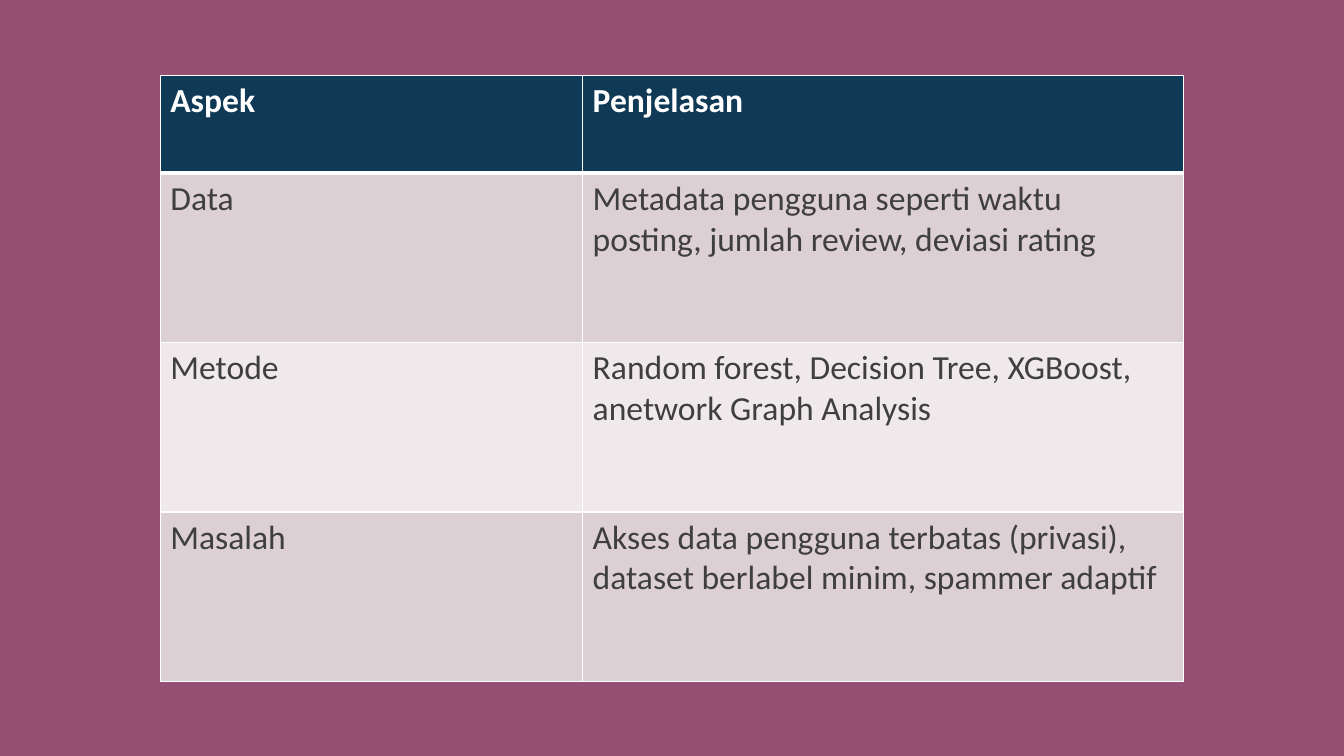
import pptx
import pptx.dml.color
import pptx.oxml
import pptx.oxml.ns
import pptx.util
from pptx.util import Pt

HEADER_FILL = "0F3955"
BAND_FILLS = ("DDD0D5", "EFE9EB")
COLUMN_WIDTHS = (301.7, 429.1)
ROW_HEIGHTS = (69.8, 121, 121, 121)
ROWS = (
    ("Aspek", "Penjelasan"),
    ("Data", "Metadata pengguna seperti waktu posting, jumlah review, deviasi rating"),
    ("Metode", "Random forest, Decision Tree, XGBoost, anetwork Graph Analysis"),
    ("Masalah", "Akses data pengguna terbatas (privasi), dataset berlabel minim, spammer adaptif"),
)


def rgb(hex_code):
    return pptx.dml.color.RGBColor.from_string(hex_code)


def paint(fill, hex_code):
    fill.solid()
    fill.fore_color.rgb = rgb(hex_code)


def write(frame, text, *, size=24, color="3F3F3F", bold=False, font="Calibri"):
    frame.word_wrap = True
    paragraph = frame.paragraphs[0]
    paragraph.text = text
    style = paragraph.runs[0].font
    style.name, style.size, style.bold = font, Pt(size), bold
    style.color.rgb = rgb(color)


def add_borders(cell, top, bottom, color="FFFFFF"):
    """Border lines come before the fill in the cell properties."""
    properties = cell._tc.get_or_add_tcPr()
    widths = {"L": 1, "R": 1, "T": top, "B": bottom}
    for position, (side, width) in enumerate(widths.items()):
        properties.insert(position, pptx.oxml.parse_xml(
            f'<a:ln{side} {pptx.oxml.ns.nsdecls("a")} w="{Pt(width)}">'
            f'<a:solidFill><a:srgbClr val="{color}"/></a:solidFill></a:ln{side}>'))


def add_aspect_table(slide, left, top):
    table = slide.shapes.add_table(
        len(ROWS), len(COLUMN_WIDTHS), Pt(left), Pt(top),
        Pt(sum(COLUMN_WIDTHS)), Pt(sum(ROW_HEIGHTS))).table
    for column, width in zip(table.columns, COLUMN_WIDTHS):
        column.width = Pt(width)
    for index, (row, height, texts) in enumerate(zip(table.rows, ROW_HEIGHTS, ROWS)):
        row.height = Pt(height)
        header = index == 0
        for cell, text in zip(row.cells, texts):
            paint(cell.fill, HEADER_FILL if header else BAND_FILLS[(index - 1) % 2])
            # The thick rule lies between the header and the first body row
            add_borders(cell, top=3 if index == 1 else 1, bottom=3 if header else 1)
            write(cell.text_frame, text, bold=header,
                  color="FFFFFF" if header else "3F3F3F")


def main():
    deck = pptx.Presentation()
    deck.slide_width, deck.slide_height = Pt(960), Pt(540)
    # Blank layout, as the slide has no title
    slide = deck.slides.add_slide(deck.slide_layouts[6])
    paint(slide.background.fill, "954F72")
    add_aspect_table(slide, left=114.5, top=54)
    deck.save("out.pptx")


if __name__ == "__main__":
    main()
